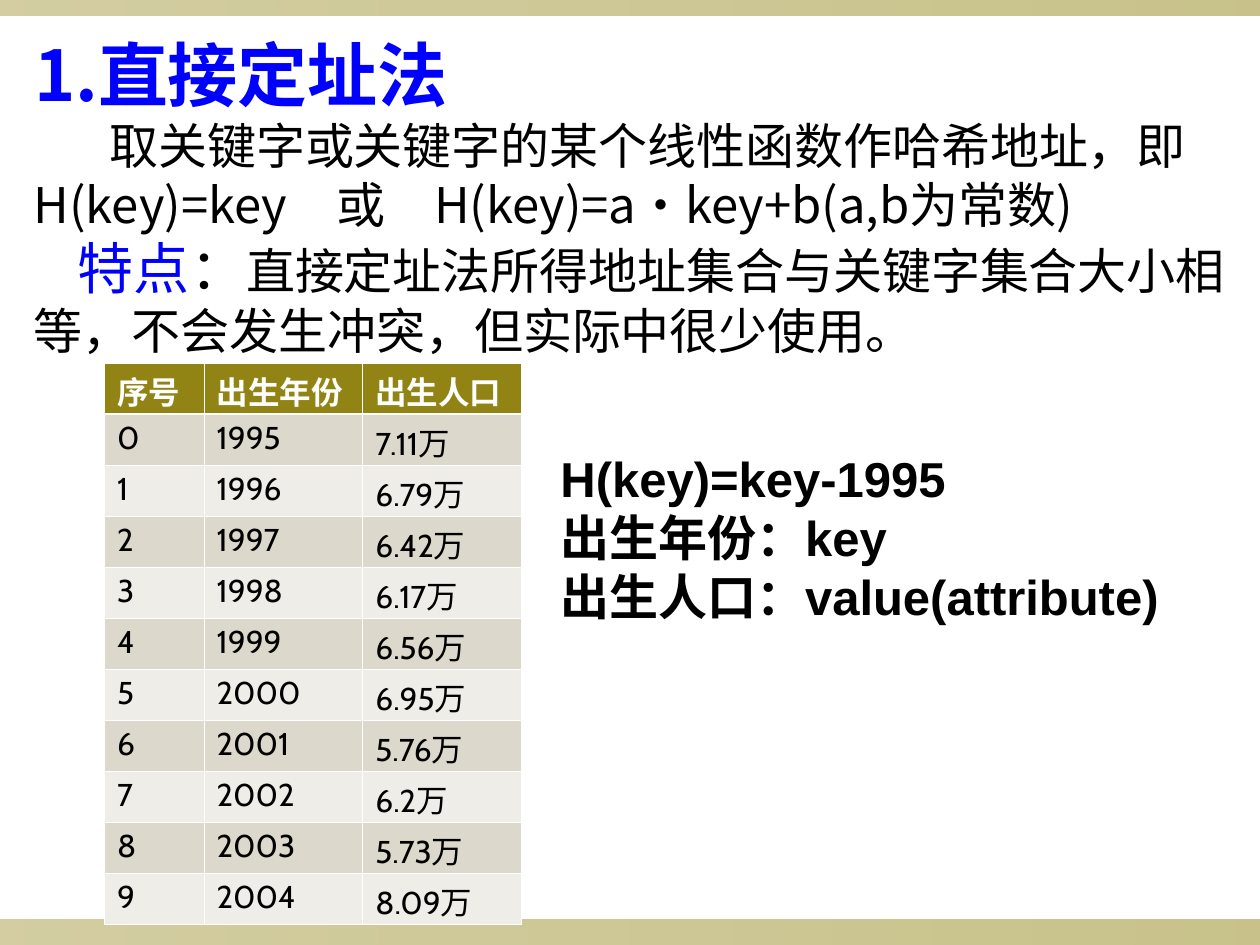
from dataclasses import dataclass

from lxml.etree import SubElement as Sub
from pptx import Presentation
from pptx.dml.color import RGBColor as RGB
from pptx.enum.shapes import MSO_SHAPE as Geo
from pptx.enum.text import MSO_ANCHOR as Anchor, MSO_AUTO_SIZE as Fit, PP_ALIGN as Align
from pptx.oxml.ns import qn
from pptx.util import Inches, Pt


@dataclass(frozen=True)
class Theme:
    """Colours, fonts and type sizes of the slide."""
    olive: str = "918415"
    blue: str = "0000FF"
    black: str = "000000"
    white: str = "FFFFFF"
    bands: tuple = ("EEEDE7", "DCD9CC")
    cjk: str = "Noto Sans CJK SC"
    cabin: str = "Cabin"
    arial: str = "Arial"
    head: int = 40
    lead: int = 32
    body: int = 28
    cell: int = 18


class Deck:
    """Draws each kind of element on the current slide."""

    def __init__(self, theme):
        self.theme = theme
        self.prs = Presentation()
        self.prs.slide_width, self.prs.slide_height = Inches(10), Inches(7.5)
        self.slide = self.prs.slides.add_slide(self.prs.slide_layouts[5])

    def style(self, run, color, **form):
        """Set the font of a run."""
        for key, val in form.items():
            setattr(run.font, key, Pt(val) if key == "size" else val)
        run.font.color.rgb = RGB.from_string(color)
        if form["name"] == self.theme.cjk:
            Sub(run.font._element, qn("a:ea"), typeface=form["name"])

    def para(self, para, runs, indent=0, **form):
        """Fill a paragraph with (text, format) runs."""
        props = para._p.get_or_add_pPr()
        props.set("marL", "0")
        props.set("indent", str(Inches(indent)))
        para.alignment = Align.LEFT
        for text, extra in runs:
            run = para.add_run()
            run.text = text
            self.style(run, **{**form, **extra})

    def frame(self, shape, box, fit=Fit.NONE):
        """Place a text shape and return its frame."""
        for key, val in zip(("left", "top", "width", "height"), box):
            setattr(shape, key, Inches(val))
        frame = shape.text_frame
        form = {"word_wrap": True, "auto_size": fit, "vertical_anchor": Anchor.TOP}
        for key, val in form.items():
            setattr(frame, key, val)
        return frame

    def title(self, text, box, **form):
        """Write the slide title."""
        para = self.frame(self.slide.shapes.title, box).paragraphs[0]
        para.line_spacing = 1.1
        self.para(para, [(text, {})], **form)

    def text(self, paras, box, fit=Fit.NONE, **form):
        """Add a text box of (runs, indent) paragraphs."""
        frame = self.frame(self.slide.shapes.add_textbox(0, 0, 0, 0), box, fit)
        for i, (runs, indent) in enumerate(paras):
            para = frame.add_paragraph() if i else frame.paragraphs[0]
            self.para(para, runs, indent, **form)

    def band(self, top, high):
        """Add a full-width translucent gradient bar."""
        bar = self.slide.shapes.add_shape(
            Geo.RECTANGLE, 0, Inches(top), self.prs.slide_width, Inches(high))
        bar.shadow.inherit = False
        bar.line.fill.background()
        bar.fill.gradient()
        bar.fill.gradient_angle = 0
        for stop in bar.fill.gradient_stops:
            stop.color.rgb = RGB.from_string(self.theme.olive)
        marks = bar._element.spPr.iter(qn("a:srgbClr"))
        for mark, alpha in zip(marks, (40, 50)):
            Sub(mark, qn("a:alpha"), val=str(alpha * 1000))

    def edge(self, cell, side, width):
        """Draw one white border of a cell."""
        line = Sub(cell._tc.get_or_add_tcPr(), qn(f"a:ln{side}"), w=str(Pt(width)))
        Sub(Sub(line, qn("a:solidFill")), qn("a:srgbClr"), val=self.theme.white)

    def table(self, rows, left, top, cols, high):
        """Add a table with a header row and banded fills."""
        look = self.theme
        grid = self.slide.shapes.add_table(
            len(rows), len(cols), Inches(left), Inches(top),
            Inches(sum(cols)), Inches(high)).table
        for col, wide in zip(grid.columns, cols):
            col.width = Inches(wide)
        for r, row in enumerate(rows):
            grid.rows[r].height = Inches(high / len(rows))
            for c, text in enumerate(row):
                cell = grid.cell(r, c)
                cell.margin_top, cell.margin_bottom = Inches(0.04), 0
                for side in "LRTB":
                    thick = (r, side) in ((0, "B"), (1, "T"))
                    self.edge(cell, side, 1.47 if thick else 0.45)
                cell.fill.solid()
                fill = look.bands[r % 2] if r else look.olive
                cell.fill.fore_color.rgb = RGB.from_string(fill)
                self.para(cell.text_frame.paragraphs[0], [(text, {})],
                          name=look.cabin, size=look.cell, bold=not r,
                          color=look.black if r else look.white)


def main():
    """Build the slide."""
    look = Theme()
    deck = Deck(look)
    deck.band(7.3, 0.2)
    deck.band(0, 0.12)
    deck.title("1.直接定址法", (0.17, 0.13, 9.67, 0.8),
               name=look.cjk, size=look.head, bold=True, color=look.blue)

    rule = "取关键字或关键字的某个线性函数作哈希地址，即H(key)=key　或　H(key)=a·key+b(a,b为常数)"
    trait = "直接定址法所得地址集合与关键字集合大小相等，不会发生冲突，但实际中很少使用。"
    deck.text([
        ([(rule, {})], 0.6),
        ([("特点", {"size": look.lead, "color": look.blue}),
          ("：", {"size": look.lead}), (trait, {})], 0.35),
    ], (0.17, 0.87, 9.67, 2), name=look.cjk, size=look.body, bold=False, color=look.black)

    births = (7.11, 6.79, 6.42, 6.17, 6.56, 6.95, 5.76, 6.2, 5.73, 8.09)
    rows = [("序号", "出生年份", "出生人口")]
    rows += [(str(i), str(1995 + i), f"{num}万") for i, num in enumerate(births)]
    deck.table(rows, 0.83, 2.88, (0.79, 1.26, 1.26), 4.46)

    notes = ("H(key)=key-1995", "出生年份：key", "出生人口：value(attribute)")
    deck.text([([(note, {})], 0) for note in notes], (4.35, 3.51, 5, 2.44),
              fit=Fit.SHAPE_TO_FIT_TEXT, name=look.arial, size=look.body,
              bold=True, color=look.black)
    deck.prs.save("out.pptx")


if __name__ == "__main__":
    main()
